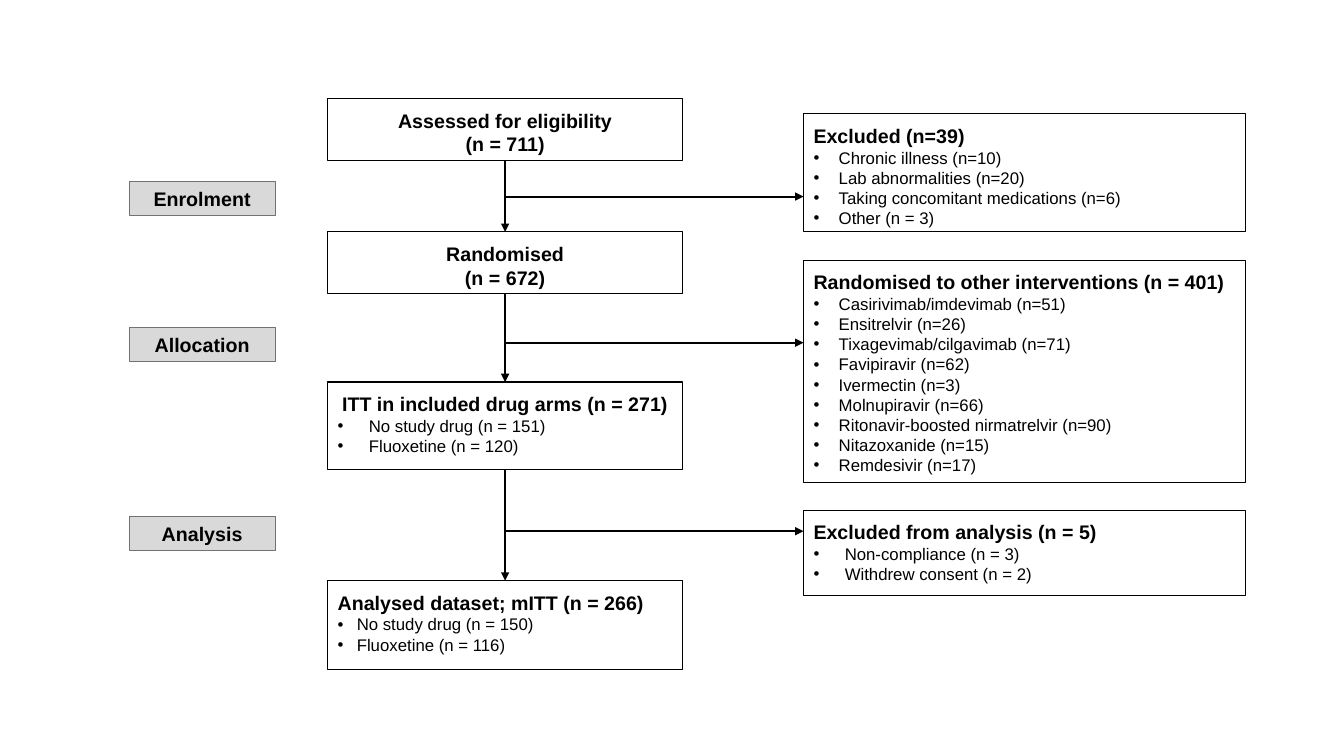
from lxml import etree
from pptx import Presentation
from pptx.dml.color import RGBColor
from pptx.enum.shapes import MSO_CONNECTOR, MSO_SHAPE
from pptx.enum.text import MSO_ANCHOR, PP_ALIGN
from pptx.oxml.ns import qn
from pptx.util import Inches, Pt

RECT, STRAIGHT = MSO_SHAPE.RECTANGLE, MSO_CONNECTOR.STRAIGHT
LEFT, CENTER = PP_ALIGN.LEFT, PP_ALIGN.CENTER
TOP, MIDDLE = MSO_ANCHOR.TOP, MSO_ANCHOR.MIDDLE
BLACK, WHITE, GREY, DARK_GREY = "000000", "FFFFFF", "D9D9D9", "767171"
FONT = "Arial"

LABEL_X, LABEL_W, LABEL_H = 1.28, 1.45, 0.34
MAIN_X, MAIN_W = 3.25, 3.52
SIDE_X, SIDE_W = 7.97, 4.38
AXIS_X = MAIN_X + MAIN_W / 2

# Stage name, label top
STAGES = [("Enrolment", 1.8), ("Allocation", 3.25), ("Analysis", 5.12)]
BRANCH_DROP = 0.15  # from label top to the branch arrow

# Top, height, heading lines, heading alignment, bullet indent, bullets
MAIN_BOXES = [
    (0.98, 0.61, ["Assessed for eligibility", "(n = 711)"], CENTER, 0, []),
    (2.3, 0.61, ["Randomised", "(n = 672)"], CENTER, 0, []),
    (3.79, 0.87, ["ITT in included drug arms (n = 271)"], CENTER, 0.31,
     ["No study drug (n = 151)", "Fluoxetine (n = 120)"]),
    (5.76, 0.88, ["Analysed dataset; mITT (n = 266)"], LEFT, 0.19,
     ["No study drug (n = 150)", "Fluoxetine (n = 116)"]),
]
SIDE_BOXES = [
    (1.13, 1.17, ["Excluded (n=39)"], LEFT, 0.25,
     ["Chronic illness (n=10)", "Lab abnormalities (n=20)",
      "Taking concomitant medications (n=6)", "Other (n = 3)"]),
    (2.58, 2.21, ["Randomised to other interventions (n = 401)"], LEFT, 0.25,
     ["Casirivimab/imdevimab (n=51)", "Ensitrelvir (n=26)",
      "Tixagevimab/cilgavimab (n=71)", "Favipiravir (n=62)",
      "Ivermectin (n=3)", "Molnupiravir (n=66)",
      "Ritonavir-boosted nirmatrelvir (n=90)", "Nitazoxanide (n=15)",
      "Remdesivir (n=17)"]),
    (5.06, 0.85, ["Excluded from analysis (n = 5)"], LEFT, 0.31,
     ["Non-compliance (n = 3)", "Withdrew consent (n = 2)"]),
]


def color(hex_string):
    """Turn a hex string into a colour."""
    return RGBColor.from_string(hex_string)


def add_box(s, x, y, w, h, fill, line, inset, anchor):
    """Add a plain rectangle ready for text."""
    sp = s.shapes.add_shape(RECT, Inches(x), Inches(y), Inches(w), Inches(h))
    sp.shadow.inherit = False
    sp.fill.solid()
    sp.fill.fore_color.rgb = color(fill)
    sp.line.color.rgb = color(line)
    sp.line.width = Pt(0.75)
    tf = sp.text_frame
    tf.word_wrap = True
    tf.vertical_anchor = anchor
    tf.margin_left = tf.margin_right = Inches(0.1)
    tf.margin_top = tf.margin_bottom = Inches(inset)
    return sp


def add_line(tf, text, size, bold, align):
    """Write a paragraph, using the empty first one if it is still free."""
    p = tf.paragraphs[0]
    if p.runs:
        p = tf.add_paragraph()
    p.alignment = align
    r = p.add_run()
    r.text = text
    r.font.name, r.font.size, r.font.bold = FONT, Pt(size), bold
    r.font.color.rgb = color(BLACK)
    return p


def set_bullet(p, indent):
    """Give a paragraph a round bullet with a hanging indent."""
    pPr = p._p.get_or_add_pPr()
    pPr.set("marL", str(Inches(indent)))
    pPr.set("indent", str(-Inches(indent)))
    etree.SubElement(pPr, qn("a:buFont")).set("typeface", FONT)
    etree.SubElement(pPr, qn("a:buChar")).set("char", "•")


def add_arrow(s, x1, y1, x2, y2):
    """Add a straight arrow that points at its end."""
    cx = s.shapes.add_connector(
        STRAIGHT, Inches(x1), Inches(y1), Inches(x2), Inches(y2))
    cx.line.color.rgb = color(BLACK)
    cx.line.width = Pt(1.5)
    etree.SubElement(cx.line._get_or_add_ln(), qn("a:tailEnd")).set("type", "triangle")
    etree.SubElement(cx._element.spPr, qn("a:effectLst"))
    return cx


def add_flow_box(s, x, w, box):
    """Add a white box with bold heading lines and bullets."""
    y, h, heading, align, indent, bullets = box
    sp = add_box(s, x, y, w, h, WHITE, BLACK, 0.1, TOP)
    for text in heading:
        add_line(sp.text_frame, text, 14, True, align)
    for text in bullets:
        set_bullet(add_line(sp.text_frame, text, 12, False, LEFT), indent)
    return sp


def add_main_flow(s, x, w):
    """Stack the participant boxes and join each to the next."""
    boxes = [add_flow_box(s, x, w, box) for box in MAIN_BOXES]
    for upper, lower in zip(boxes, boxes[1:]):
        cx = add_arrow(s, x, 0, x, 1)
        cx.begin_connect(upper, 2)
        cx.end_connect(lower, 0)


def add_side_flow(s, x, w):
    """Add the boxes of participants who left, with their branch arrows."""
    for box, (_, label_y) in zip(SIDE_BOXES, STAGES):
        add_flow_box(s, x, w, box)
        y = label_y + BRANCH_DROP
        add_arrow(s, AXIS_X, y, x, y)


def add_stage_labels(s, x, w, h):
    """Add the grey stage labels."""
    for name, y in STAGES:
        sp = add_box(s, x, y, w, h, GREY, DARK_GREY, 0.05, MIDDLE)
        add_line(sp.text_frame, name, 14, True, CENTER)


prs = Presentation()
prs.slide_width, prs.slide_height = Inches(13.33), Inches(7.5)
s = prs.slides.add_slide(prs.slide_layouts[6])
add_stage_labels(s, LABEL_X, LABEL_W, LABEL_H)
add_main_flow(s, MAIN_X, MAIN_W)
add_side_flow(s, SIDE_X, SIDE_W)
prs.save("out.pptx")
